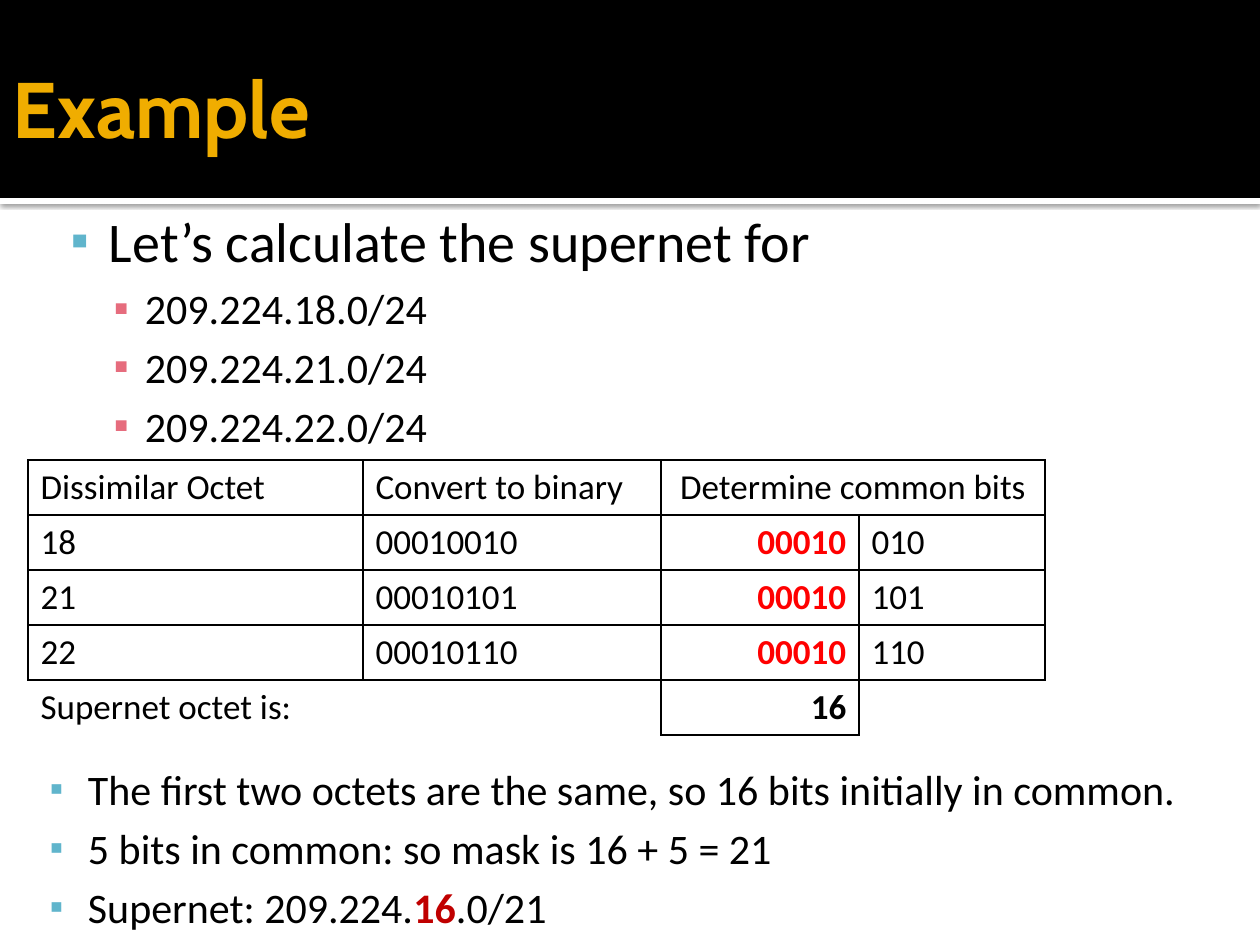
"""Build the supernet calculation example slide."""
from lxml.etree import SubElement
from pptx import Presentation
from pptx.dml.color import RGBColor
from pptx.enum.shapes import MSO_SHAPE as Preset
from pptx.enum.text import MSO_ANCHOR as Anchor, PP_ALIGN as Align
from pptx.oxml import parse_xml
from pptx.oxml.ns import nsdecls, qn
from pptx.util import Pt

EMU_PER_PX = 914400 / 126
BLACK, WHITE, GOLD, RED, DARK_RED = "000000", "FFFFFF", "F0AD00", "FF0000", "C00000"
BLUE, PINK = "60B5CC", "E66C7D"


def px(length):
    return round(length * EMU_PER_PX)


def rgb(value):
    return RGBColor.from_string(value)


def write(paragraph, text, size=24, color=BLACK, bold=False, font="Calibri"):
    run = paragraph.add_run()
    run.text = text
    run.font.size = Pt(size)
    run.font.bold = bold
    run.font.name = font
    run.font.color.rgb = rgb(color)


def add_element(parent, tag, **attributes):
    return SubElement(parent, qn(tag), attributes)


def set_bullet(paragraph, level, color, scale, left, hanging):
    paragraph.level = level
    props = paragraph._p.get_or_add_pPr()
    props.set("marL", str(px(left)))
    props.set("indent", str(-px(hanging)))
    add_element(add_element(props, "a:spcBef"), "a:spcPct", val="20000")
    add_element(add_element(props, "a:buClr"), "a:srgbClr", val=color)
    add_element(props, "a:buSzPct", val=str(scale * 1000))
    add_element(props, "a:buFont", typeface="Calibri")
    add_element(props, "a:buChar", char="▪")


def set_borders(cell, visible):
    props = cell._tc.get_or_add_tcPr()
    for position, side in enumerate("LRTB"):
        paint = (f'<a:solidFill><a:srgbClr val="{BLACK}"/></a:solidFill>'
                 if side in visible else "<a:noFill/>")
        props.insert(position, parse_xml(
            f'<a:ln{side} {nsdecls("a")} w="{Pt(1)}">{paint}</a:ln{side}>'))


class SlideBuilder:
    def __init__(self, slide):
        self.slide = slide

    def band(self, left, top, width, height, color, shadow=False):
        band = self.slide.shapes.add_shape(
            Preset.RECTANGLE, px(left), px(top), px(width), px(height))
        band.shadow.inherit = False
        band.fill.solid()
        band.fill.fore_color.rgb = rgb(color)
        band.line.fill.background()
        if shadow:
            effects = band._element.spPr.find(qn("a:effectLst"))
            outer = add_element(effects, "a:outerShdw", blurRad=str(Pt(2.5)),
                                dist=str(Pt(0.8)), dir="5400000", algn="tl", rotWithShape="0")
            tint = add_element(outer, "a:srgbClr", val=BLACK)
            add_element(tint, "a:alpha", val="60000")

    def frame(self, left, top, width, height, insets, anchor=Anchor.TOP):
        frame = self.slide.shapes.add_textbox(
            px(left), px(top), px(width), px(height)).text_frame
        frame.word_wrap = True
        frame.vertical_anchor = anchor
        (frame.margin_left, frame.margin_top,
         frame.margin_right, frame.margin_bottom) = map(px, insets)
        return frame

    def title(self, text, left, top, width, height):
        frame = self.frame(left, top, width, height, (13, 6, 6, 6), Anchor.MIDDLE)
        write(frame.paragraphs[0], text, size=45, color=GOLD, bold=True, font="Cabin")

    def bullets(self, items, left, top, width, height):
        frame = self.frame(left, top, width, height, (8, 13, 13, 6))
        for index, (level, size, runs) in enumerate(items):
            paragraph = frame.add_paragraph() if index else frame.paragraphs[0]
            if level:
                set_bullet(paragraph, 1, PINK, 100, 137, 31)
            else:
                set_bullet(paragraph, 0, BLUE, 90, 101, 38)
            for text, style in runs:
                write(paragraph, text, size=size, **style)

    def table(self, rows, left, top, widths, row_height, merges, borders, styles):
        table = self.slide.shapes.add_table(
            len(rows), len(widths), px(left), px(top),
            px(sum(widths)), px(row_height * len(rows))).table
        table.first_row = table.horz_banding = False
        for column, width in zip(table.columns, widths):
            column.width = px(width)
        for row in table.rows:
            row.height = px(row_height)
        for r, values in enumerate(rows):
            for c, text in enumerate(values):
                cell = table.cell(r, c)
                cell.fill.background()
                set_borders(cell, borders.get((r, c), "LRTB"))
                align, style = styles(r, c)
                paragraph = cell.text_frame.paragraphs[0]
                paragraph.alignment = align
                if text:
                    write(paragraph, text, size=20, **style)
        for start, end in merges:
            table.cell(*start).merge(table.cell(*end))


def octet_style(row, column):
    if row == 0:
        return (Align.CENTER if column == 2 else Align.LEFT), {}
    if column == 2:
        return Align.RIGHT, {"bold": True, "color": BLACK if row == 4 else RED}
    return Align.LEFT, {}


def main():
    deck = Presentation()
    deck.slide_width, deck.slide_height = px(1260), px(945)
    builder = SlideBuilder(deck.slides.add_slide(deck.slide_layouts[6]))

    builder.band(0, 198, 1260, 6, WHITE, shadow=True)
    builder.band(0, 0, 1260, 198, BLACK)
    builder.title("Example", 0, 21, 1134, 173)

    networks = [(1, 24, [(f"209.224.{octet}.0/24", {})]) for octet in (18, 21, 22)]
    builder.bullets([(0, 32, [("Let’s calculate the supernet for", {})]), *networks],
                    0, 194, 1260, 266)

    common = "00010"
    octets = [(str(octet), f"{octet:08b}", common, f"{octet:08b}"[len(common):])
              for octet in (18, 21, 22)]
    builder.table(
        [("Dissimilar Octet", "Convert to binary", "Determine common bits", ""),
         *octets,
         ("Supernet octet is:", "", "16", "")],
        28, 460, (335, 298, 198, 186), 55,
        merges=[((0, 2), (0, 3)), ((4, 0), (4, 1))],
        borders={(4, 0): "TR", (4, 1): "TR", (4, 3): "LT"},
        styles=octet_style)

    conclusions = [
        [("The first two octets are the same, so 16 bits initially in common.", {})],
        [("5 bits in common: so mask is 16 + 5 = 21", {})],
        [("Supernet: 209.224.", {}), ("16", {"color": DARK_RED, "bold": True}),
         (".0/21", {})],
    ]
    builder.bullets([(0, 24, runs) for runs in conclusions], -21, 751, 1260, 266)
    deck.save("out.pptx")


if __name__ == "__main__":
    main()
